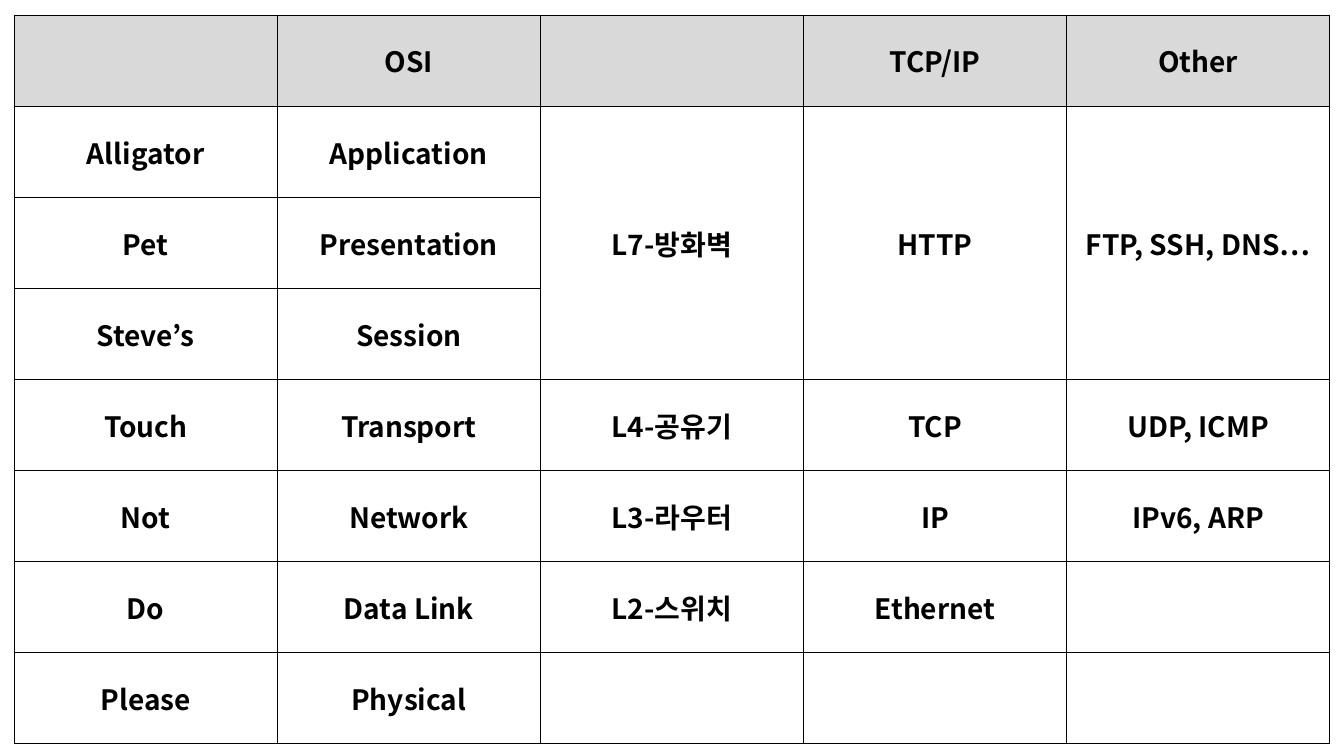
from dataclasses import dataclass

from lxml.etree import SubElement
from pptx import Presentation
from pptx.dml.color import RGBColor
from pptx.enum.text import MSO_ANCHOR as Anchor, PP_ALIGN as Align
from pptx.oxml.ns import qn
from pptx.util import Inches, Pt


@dataclass(frozen=True)
class Theme:
    font: str = "Noto Sans CJK KR"
    text_size: int = 20
    border_width: int = 1
    ink: str = "000000"
    header_fill: str = "D9D9D9"


LAYERS = [
    ["", "OSI", "", "TCP/IP", "Other"],
    ["Alligator", "Application", "L7-방화벽", "HTTP", "FTP, SSH, DNS…"],
    ["Pet", "Presentation", "", "", ""],
    ["Steve’s", "Session", "", "", ""],
    ["Touch", "Transport", "L4-공유기", "TCP", "UDP, ICMP"],
    ["Not", "Network", "L3-라우터", "IP", "IPv6, ARP"],
    ["Do", "Data Link", "L2-스위치", "Ethernet", ""],
    ["Please", "Physical", "", "", ""],
]
APPLICATION_ROWS = (1, 3)
MERGED_COLUMNS = (2, 3, 4)


class SlideBuilder:
    def __init__(self, page, theme):
        self.page = page
        self.theme = theme

    def table(self, rows, left, top, width, height):
        """Add a plain table with equal columns and equal rows."""
        frame = self.page.shapes.add_table(
            len(rows), len(rows[0]), left, top, width, height)
        table = frame.table
        table.first_row = table.horz_banding = False
        for column in table.columns:
            column.width = width // len(rows[0])
        for row in table.rows:
            row.height = height // len(rows)
        for row_index, texts in enumerate(rows):
            for column_index, text in enumerate(texts):
                cell = table.cell(row_index, column_index)
                self.border(cell)
                self.fill(cell, is_header=row_index == 0)
                self.label(cell, text)
        return table

    def border(self, cell):
        properties = cell._tc.get_or_add_tcPr()
        for side in ("a:lnL", "a:lnR", "a:lnT", "a:lnB"):
            line = SubElement(properties, qn(side), w=str(Pt(self.theme.border_width)))
            solid = SubElement(line, qn("a:solidFill"))
            SubElement(solid, qn("a:srgbClr"), val=self.theme.ink)

    def fill(self, cell, is_header):
        if is_header:
            cell.fill.solid()
            cell.fill.fore_color.rgb = RGBColor.from_string(self.theme.header_fill)
        else:
            cell.fill.background()

    def label(self, cell, text):
        cell.vertical_anchor = Anchor.MIDDLE
        para = cell.text_frame.paragraphs[0]
        para.alignment = Align.CENTER
        if not text:
            return
        span = para.add_run()
        span.text = text
        font_format = {
            "name": self.theme.font,
            "size": Pt(self.theme.text_size),
            "bold": True,
        }
        for name, value in font_format.items():
            setattr(span.font, name, value)
        span.font.color.rgb = RGBColor.from_string(self.theme.ink)
        # Hangul takes its typeface from the East Asian font entry.
        SubElement(span._r.get_or_add_rPr(), qn("a:ea"), typeface=self.theme.font)


def main():
    deck = Presentation()
    deck.slide_width, deck.slide_height = Inches(13.33), Inches(7.5)
    page = deck.slides.add_slide(deck.slide_layouts[6])

    builder = SlideBuilder(page, Theme())
    table = builder.table(
        LAYERS, Inches(0.14), Inches(0.15), Inches(13.05), Inches(7.23))
    first, last = APPLICATION_ROWS
    for column in MERGED_COLUMNS:
        table.cell(first, column).merge(table.cell(last, column))

    deck.save("out.pptx")


if __name__ == "__main__":
    main()
